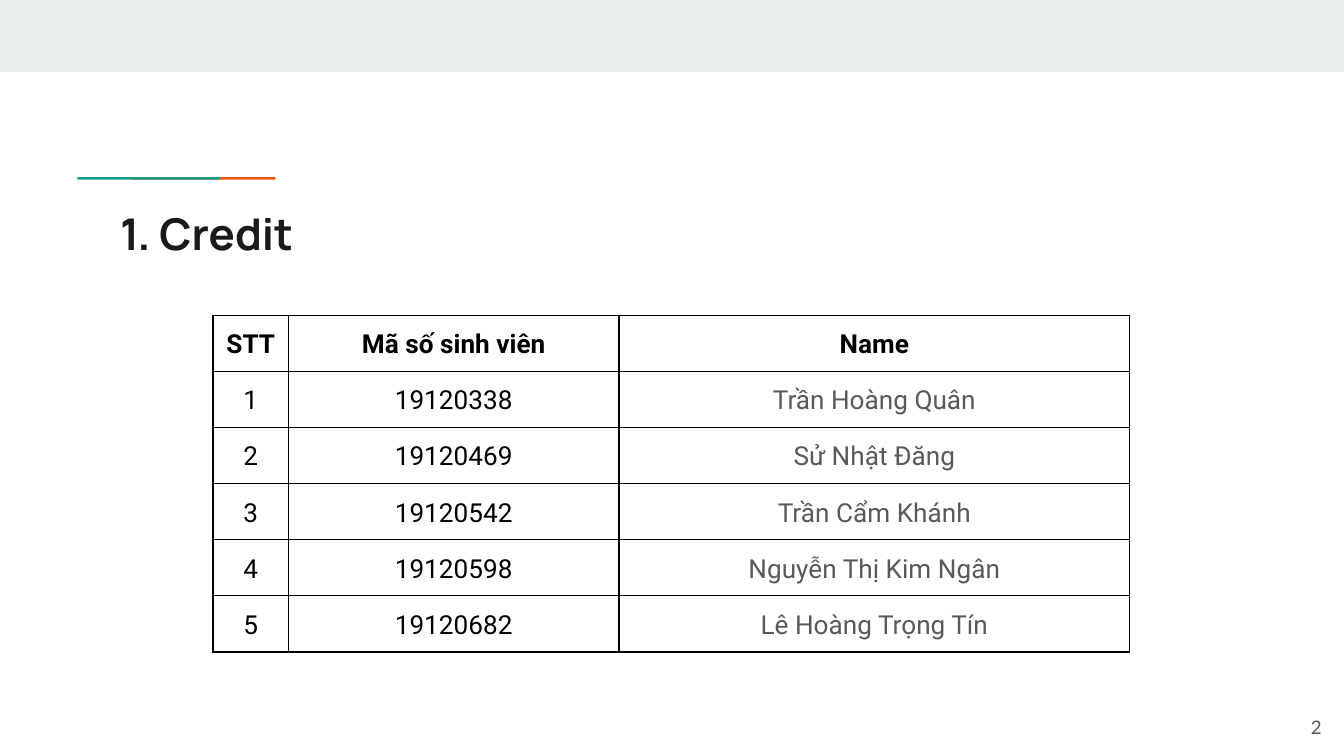
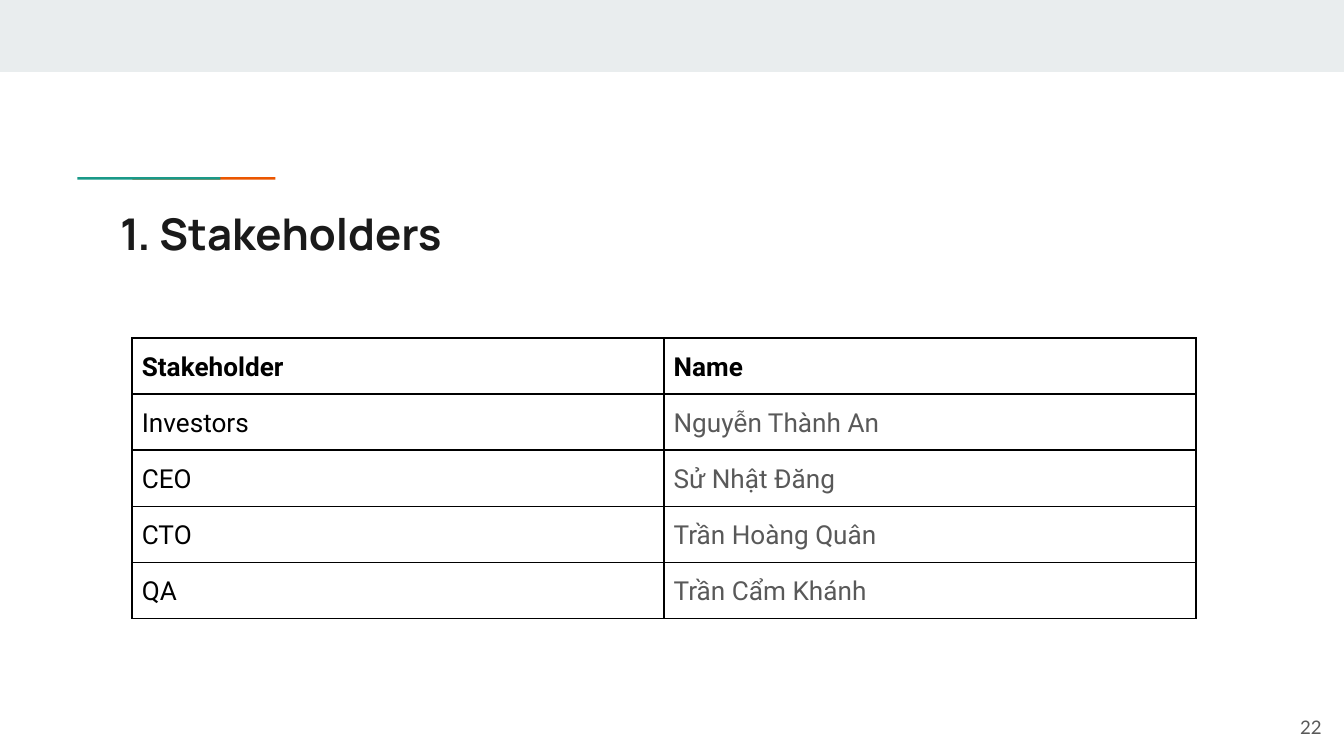
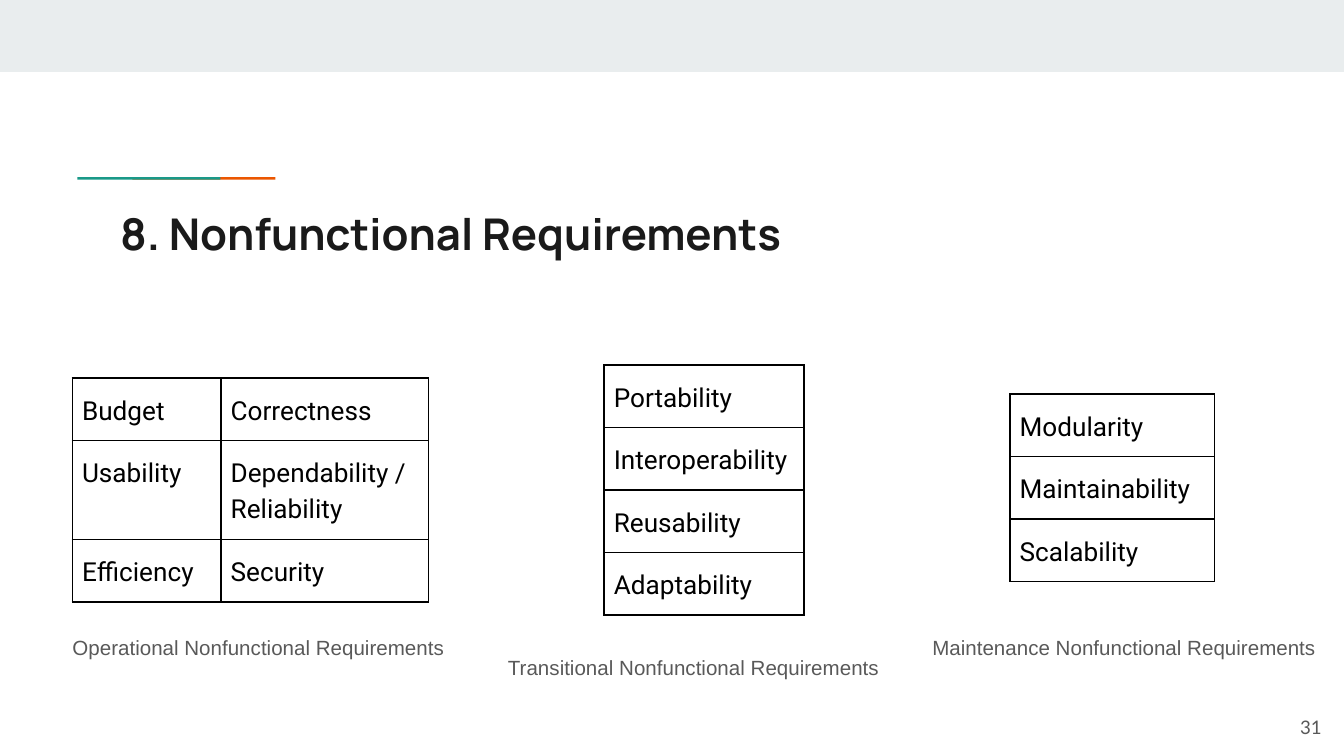
from dataclasses import dataclass

import lxml.etree
import pptx
import pptx.dml.color
import pptx.enum.shapes
import pptx.enum.text
import pptx.oxml.ns
import pptx.util

Cm = pptx.util.Cm
Pt = pptx.util.Pt
ALIGN = pptx.enum.text.PP_ALIGN
ANCHOR = pptx.enum.text.MSO_ANCHOR


@dataclass(frozen=True)
class Theme:
    band: str = "E9EDEE"
    green: str = "1A9988"
    orange: str = "EB5600"
    heading: str = "1A1A1A"
    ink: str = "000000"
    grey: str = "595959"
    title_font: str = "Manrope"
    table_font: str = "Roboto"
    caption_font: str = "Arial"
    number_font: str = "Lato"
    title_size: float = 23.4
    table_size: float = 14
    caption_size: float = 11
    number_size: float = 10
    border: float = 1
    inset: float = 0.25


def write(frame, text, *, font, size, color, bold=False, align=ALIGN.LEFT,
          spacing=None, before=None, after=None):
    frame.word_wrap = True
    para = frame.paragraphs[0]
    para.alignment = align
    para.line_spacing = spacing
    para.space_before = before
    para.space_after = after
    span = para.add_run()
    span.text = text
    span.font.name = font
    span.font.size = Pt(size)
    span.font.bold = bold
    span.font.color.rgb = pptx.dml.color.RGBColor.from_string(color)


def place(box, left, top, width, height):
    box.left, box.top, box.width, box.height = Cm(left), Cm(top), Cm(width), Cm(height)


def set_borders(cell, color, width):
    """Draw the four sides; they must precede the fill in the cell properties."""
    properties = cell._tc.get_or_add_tcPr()
    name = pptx.oxml.ns.qn
    for position, side in enumerate(("a:lnL", "a:lnR", "a:lnT", "a:lnB")):
        line = lxml.etree.Element(name(side), w=str(Pt(width)))
        fill = lxml.etree.SubElement(line, name("a:solidFill"))
        lxml.etree.SubElement(fill, name("a:srgbClr"), val=color)
        properties.insert(position, line)


class Builder:
    def __init__(self, theme):
        self.theme = theme
        self.deck = pptx.Presentation()
        self.deck.slide_width = Cm(25.4)
        self.deck.slide_height = Cm(14.29)
        self.page = None

    def start_page(self, title, number):
        self.page = self.deck.slides.add_slide(self.deck.slide_layouts[5])
        self.bar(self.page.shapes, 0, 0, 25.4, 1.36, self.theme.band)
        self.accent()
        self.title(title)
        self.page_number(number)

    def bar(self, shapes, left, top, width, height, color, rotation=0):
        box = shapes.add_shape(
            pptx.enum.shapes.MSO_SHAPE.RECTANGLE,
            Cm(left), Cm(top), Cm(width), Cm(height))
        box.rotation = rotation
        box.shadow.inherit = False
        box.fill.solid()
        box.fill.fore_color.rgb = pptx.dml.color.RGBColor.from_string(color)
        box.line.fill.background()

    def accent(self):
        """Two upright bars turned flat; widening the group stretches them."""
        group = self.page.shapes.add_group_shape()
        for left, color in ((0.4, self.theme.orange), (0, self.theme.green)):
            self.bar(group.shapes, left, 0, 0.05, 1.04, color, rotation=270)
        place(group, 2.75, 2.85, 1.17, 1.04)

    def prepare(self, frame, anchor):
        frame.auto_size = pptx.enum.text.MSO_AUTO_SIZE.NONE
        frame.vertical_anchor = anchor
        frame.margin_left = frame.margin_right = Cm(self.theme.inset)
        frame.margin_top = frame.margin_bottom = Cm(self.theme.inset)

    def title(self, text):
        box = self.page.shapes.title
        place(box, 2.02, 3.66, 21.36, 1.5)
        self.prepare(box.text_frame, ANCHOR.TOP)
        write(box.text_frame, text, font=self.theme.title_font,
              size=self.theme.title_size, color=self.theme.heading, bold=True)

    def text(self, text, left, top, width, height, anchor=ANCHOR.TOP, **text_format):
        box = self.page.shapes.add_textbox(Cm(left), Cm(top), Cm(width), Cm(height))
        self.prepare(box.text_frame, anchor)
        write(box.text_frame, text, **text_format)

    def page_number(self, number):
        self.text(str(number), 23.71, 13.19, 1.52, 1.09, ANCHOR.MIDDLE,
                  font=self.theme.number_font, size=self.theme.number_size,
                  color=self.theme.grey, align=ALIGN.RIGHT)

    def caption(self, text, left, top, width, height, **spacing):
        self.text(text, left, top, width, height, font=self.theme.caption_font,
                  size=self.theme.caption_size, color=self.theme.grey, **spacing)

    def table(self, rows, left, top, widths, heights, *, header=False,
              padding=0.25, align=ALIGN.LEFT, after=None):
        """Add a ruled table; with a header, the last column holds grey names."""
        grid = self.page.shapes.add_table(
            len(rows), len(widths), Cm(left), Cm(top),
            Cm(sum(widths)), Cm(sum(heights))).table
        grid.first_row = grid.horz_banding = False
        for column, width in zip(grid.columns, widths):
            column.width = Cm(width)
        for line, height in zip(grid.rows, heights):
            line.height = Cm(height)
        for row, values in enumerate(rows):
            for column, value in enumerate(values):
                cell = grid.cell(row, column)
                cell.fill.background()
                set_borders(cell, self.theme.ink, self.theme.border)
                cell.margin_left = cell.margin_right = Cm(0.18)
                cell.margin_top = cell.margin_bottom = Cm(padding)
                is_name = header and row > 0 and column == len(widths) - 1
                write(cell.text_frame, value, font=self.theme.table_font,
                      size=self.theme.table_size,
                      color=self.theme.grey if is_name else self.theme.ink,
                      bold=header and row == 0, align=align,
                      spacing=1.15, before=Pt(12), after=after)


def add_credit(builder):
    builder.start_page("1. Credit", 2)
    students = [
        ("19120338", "Trần Hoàng Quân"),
        ("19120469", "Sử Nhật Đăng"),
        ("19120542", "Trần Cẩm Khánh"),
        ("19120598", "Nguyễn Thị Kim Ngân"),
        ("19120682", "Lê Hoàng Trọng Tín"),
    ]
    rows = [("STT", "Mã số sinh viên", "Name")]
    rows += [(str(order), *student) for order, student in enumerate(students, 1)]
    builder.table(rows, 4.03, 5.96, [1.42, 6.25, 9.65], [1.06] * len(rows),
                  header=True, padding=0.18, align=ALIGN.CENTER)


def add_stakeholders(builder):
    builder.start_page("1. Stakeholders", 22)
    rows = [
        ("Stakeholder", "Name"),
        ("Investors", "Nguyễn Thành An"),
        ("CEO", "Sử Nhật Đăng"),
        ("CTO", "Trần Hoàng Quân"),
        ("QA", "Trần Cẩm Khánh"),
    ]
    builder.table(rows, 2.5, 6.39, [10.05] * 2, [1.06] * len(rows),
                  header=True, padding=0.18)


def add_nonfunctional_requirements(builder):
    builder.start_page("8. Nonfunctional Requirements", 31)
    row_height = 1.18
    operational = [
        ("Budget", "Correctness"),
        ("Usability", "Dependability / Reliability"),
        ("Efficiency", "Security"),
    ]
    transitional = [("Portability",), ("Interoperability",),
                    ("Reusability",), ("Adaptability",)]
    maintenance = [("Modularity",), ("Maintainability",), ("Scalability",)]
    builder.table(operational, 1.37, 7.15, [2.81, 3.92],
                  [row_height, 1.87, row_height], after=Pt(12))
    builder.table(transitional, 11.42, 6.9, [3.78], [row_height] * 4)
    builder.table(maintenance, 19.09, 7.45, [3.86], [row_height] * 3)

    loose = {"spacing": 1.15, "before": Pt(12), "after": Pt(12)}
    builder.caption("Operational Nonfunctional Requirements",
                    1.12, 11.69, 8.36, 1.9, **loose)
    builder.caption("Transitional Nonfunctional Requirements",
                    9.35, 12.14, 8.03, 0.99)
    builder.caption("Maintenance Nonfunctional Requirements",
                    17.37, 11.69, 8.03, 1.9, **loose)


def main():
    builder = Builder(Theme())
    add_credit(builder)
    add_stakeholders(builder)
    add_nonfunctional_requirements(builder)
    builder.deck.save("out.pptx")


if __name__ == "__main__":
    main()
